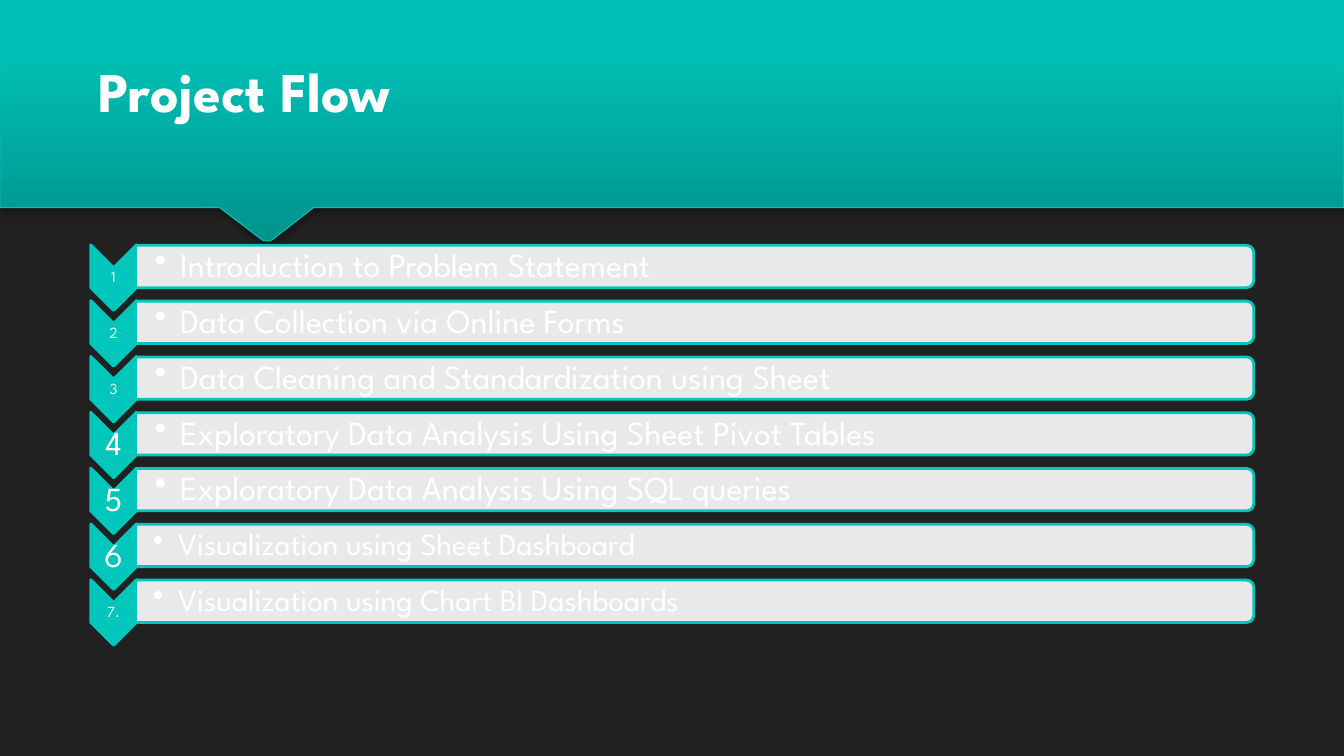
from dataclasses import dataclass

from pptx import Presentation
from pptx.dml.color import RGBColor
from pptx.enum.shapes import MSO_SHAPE
from pptx.enum.text import MSO_ANCHOR, PP_ALIGN
from pptx.oxml import parse_xml
from pptx.oxml.ns import nsdecls
from pptx.util import Inches, Pt


@dataclass(frozen=True)
class Theme:
    background: str = "212121"
    accent: str = "00C6BB"
    banner_line: str = "00C2B7"
    banner_stops: tuple = ((0, "00948C"), (80, "00C0B5"), (100, "00C1B6"))
    title_color: str = "FEFEFE"
    light: str = "FFFFFF"
    font: str = "League Spartan"
    title_size: int = 40
    step_size: int = 24
    tool_size: int = 22
    small_size: int = 11


THEME = Theme()
GRID_COUNT = 100  # columns and rows on the slide
FIRST_TOP, ROW_PITCH = 32.4, 7.38
STEPS = [
    ("1", THEME.small_size, "Introduction to Problem Statement", THEME.step_size),
    ("2", THEME.small_size, "Data Collection via Online Forms", THEME.step_size),
    ("3", THEME.small_size, "Data Cleaning and Standardization using Sheet", THEME.step_size),
    ("4", THEME.step_size, "Exploratory Data Analysis Using Sheet Pivot Tables", THEME.step_size),
    ("5", THEME.step_size, "Exploratory Data Analysis Using SQL queries", THEME.step_size),
    ("6", THEME.step_size, "Visualization using Sheet Dashboard", THEME.tool_size),
    ("7.", THEME.small_size, "Visualization using Chart BI Dashboards", THEME.tool_size),
]
BANNER_OUTLINE = [
    (100, 0), (0, 0), (0, 27.47), (16.35, 27.47), (19.5, 31.73),
    (19.65, 31.87), (20.03, 31.87), (20.25, 31.73), (23.33, 27.47), (100, 27.47),
]


def rgb(color):
    return RGBColor.from_string(color)


def shadow_xml(blur, distance, opacity):
    return parse_xml(
        f'<a:outerShdw {nsdecls("a")} blurRad="{Pt(blur)}" dist="{Pt(distance)}" '
        f'dir="5400000" rotWithShape="0"><a:srgbClr val="000000">'
        f'<a:alpha val="{opacity * 1000}"/></a:srgbClr></a:outerShdw>')


def write_text(shape, text, *, size, color=THEME.light, bold=False, align=PP_ALIGN.LEFT,
               anchor=MSO_ANCHOR.MIDDLE, insets=(0, 0, 0, 0), line_spacing=0.9, bullet=None):
    """Fill a shape with one paragraph; insets are left, top, right, bottom in inches."""
    frame = shape.text_frame
    frame.word_wrap = True
    frame.vertical_anchor = anchor
    (frame.margin_left, frame.margin_top,
     frame.margin_right, frame.margin_bottom) = map(Inches, insets)
    paragraph = frame.paragraphs[0]
    paragraph.alignment = align
    paragraph.line_spacing = line_spacing
    if bullet:
        paragraph.level = 1
        properties = paragraph._p.get_or_add_pPr()
        properties.set("marL", str(Inches(0.25)))
        properties.set("indent", str(Inches(-0.25)))
        properties.append(parse_xml(f'<a:buChar {nsdecls("a")} char="{bullet}"/>'))
    run = paragraph.add_run()
    run.text = text
    run.font.name = THEME.font
    run.font.size = Pt(size)
    run.font.bold = bold
    run.font.color.rgb = rgb(color)
    return run


class FlowSlide:
    """Places elements on a grid of 100 columns by 100 rows."""

    def __init__(self, presentation, theme):
        self.theme = theme
        self.column = presentation.slide_width / GRID_COUNT
        self.row = presentation.slide_height / GRID_COUNT
        self.slide = presentation.slides.add_slide(presentation.slide_layouts[5])
        self.slide.background.fill.solid()
        self.slide.background.fill.fore_color.rgb = rgb(theme.background)

    def box(self, left, top, width, height):
        return (round(left * self.column), round(top * self.row),
                round(width * self.column), round(height * self.row))

    def outline(self, shape, color, width):
        shape.line.color.rgb = rgb(color)
        shape.line.width = Pt(width)
        shape.shadow.inherit = False

    def banner(self, points):
        corners = [(round(x * self.column), round(y * self.row)) for x, y in points]
        builder = self.slide.shapes.build_freeform(*corners[0])
        builder.add_line_segments(corners[1:], close=True)
        shape = builder.convert_to_shape()
        self.outline(shape, self.theme.banner_line, 0.75)
        properties = shape._element.spPr
        stops = "".join(f'<a:gs pos="{position * 1000}"><a:srgbClr val="{color}"/></a:gs>'
                        for position, color in self.theme.banner_stops)
        properties.custGeom.addnext(parse_xml(
            f'<a:gradFill {nsdecls("a")} rotWithShape="1"><a:gsLst>{stops}</a:gsLst>'
            f'<a:lin ang="16200000" scaled="0"/></a:gradFill>'))
        properties.find("{*}effectLst").append(shadow_xml(3.1, 1.8, 35))

    def title(self, text):
        shape = self.slide.shapes.title
        shape.left, shape.top, shape.width, shape.height = self.box(6.6, 11.73, 86.7, 14.13)
        run = write_text(shape, text, size=self.theme.title_size, color=self.theme.title_color,
                         bold=True, anchor=MSO_ANCHOR.BOTTOM, line_spacing=1,
                         insets=(0.1, 0.05, 0.1, 0.71))
        effects = parse_xml(f'<a:effectLst {nsdecls("a")}/>')
        effects.append(shadow_xml(3, 2, 40))
        run.font._element.find("{*}solidFill").addnext(effects)
        tree = self.slide.shapes._spTree
        tree.append(shape._element)

    def turned_shape(self, kind, left, top, width, height, color, opacity=100):
        """Add a shape turned by 90 degrees that covers the given box."""
        x, y, across, down = self.box(left, top, width, height)
        shift = (across - down) // 2
        shape = self.slide.shapes.add_shape(kind, x + shift, y - shift, down, across)
        shape.rotation = 90
        shape.fill.solid()
        shape.fill.fore_color.rgb = rgb(color)
        if opacity < 100:
            shape._element.spPr.find("{*}solidFill")[0].append(
                parse_xml(f'<a:alpha {nsdecls("a")} val="{opacity * 1000}"/>'))
        self.outline(shape, self.theme.accent, 2)

    def label(self, text, left, top, width, height, **style):
        shape = self.slide.shapes.add_textbox(*self.box(left, top, width, height))
        write_text(shape, text, **style)

    def step(self, index, number, number_size, text, text_size):
        top = FIRST_TOP + index * ROW_PITCH
        self.turned_shape(MSO_SHAPE.CHEVRON, 6.75, top, 3.4, 8.67, self.theme.accent)
        self.label(number, 6.75, top + 3.07, 3.4, 2.53, size=number_size,
                   align=PP_ALIGN.CENTER, insets=(0.01,) * 4)
        self.turned_shape(MSO_SHAPE.ROUND_2_SAME_RECTANGLE, 10.1, top + 0.05, 83.18, 5.6,
                          self.theme.light, opacity=90)
        left_inset = 0.19 if text_size == self.theme.step_size else 0.17
        self.label(text, 10.1, top + 0.35, 83.03, 5.07, size=text_size, bullet="•",
                   insets=(left_inset, 0.02, 0.02, 0.02))


def main():
    presentation = Presentation()
    presentation.slide_width, presentation.slide_height = Inches(13.33), Inches(7.5)
    flow = FlowSlide(presentation, THEME)
    flow.banner(BANNER_OUTLINE)
    flow.title("Project Flow")
    for index, step in enumerate(STEPS):
        flow.step(index, *step)
    presentation.save("out.pptx")


if __name__ == "__main__":
    main()
